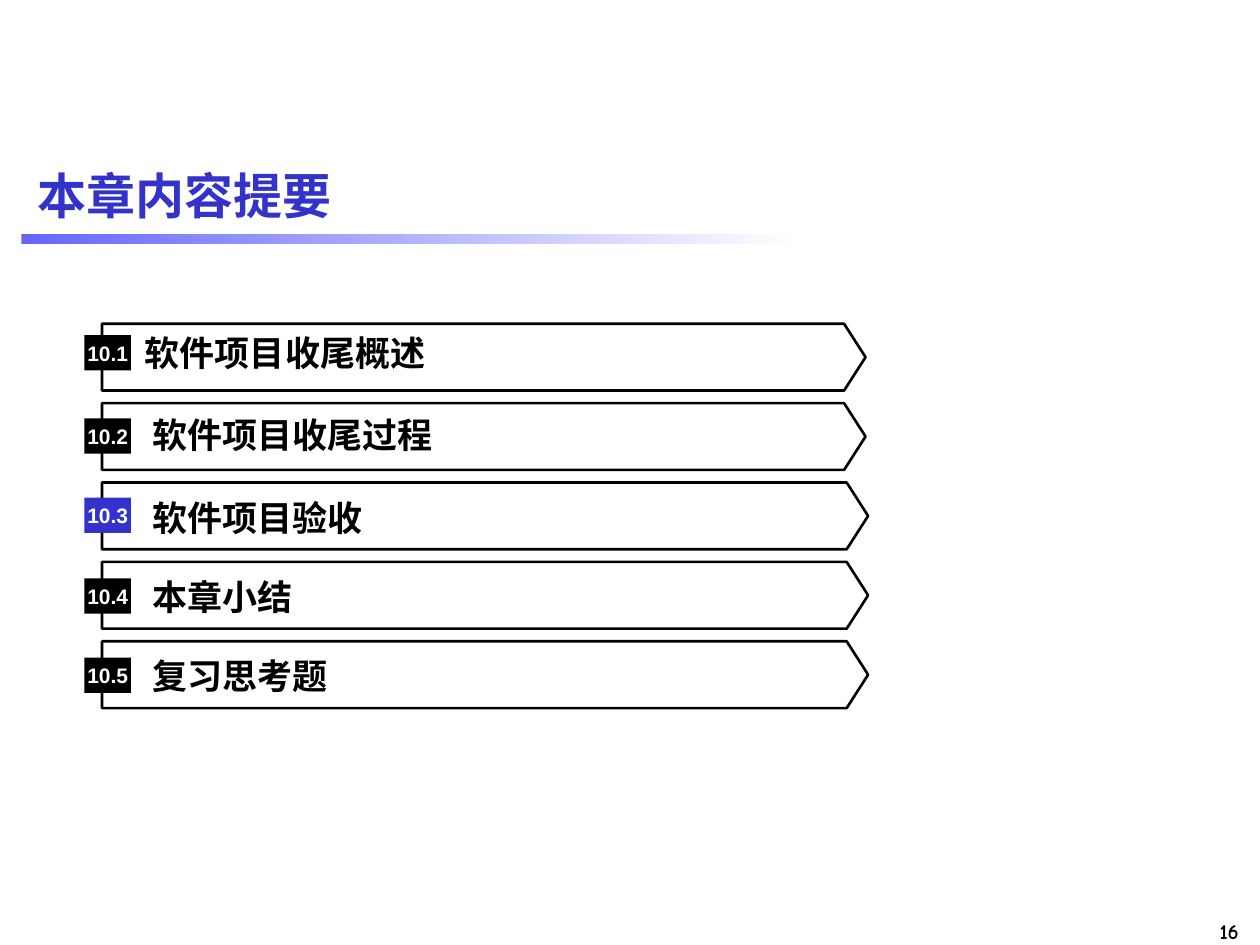
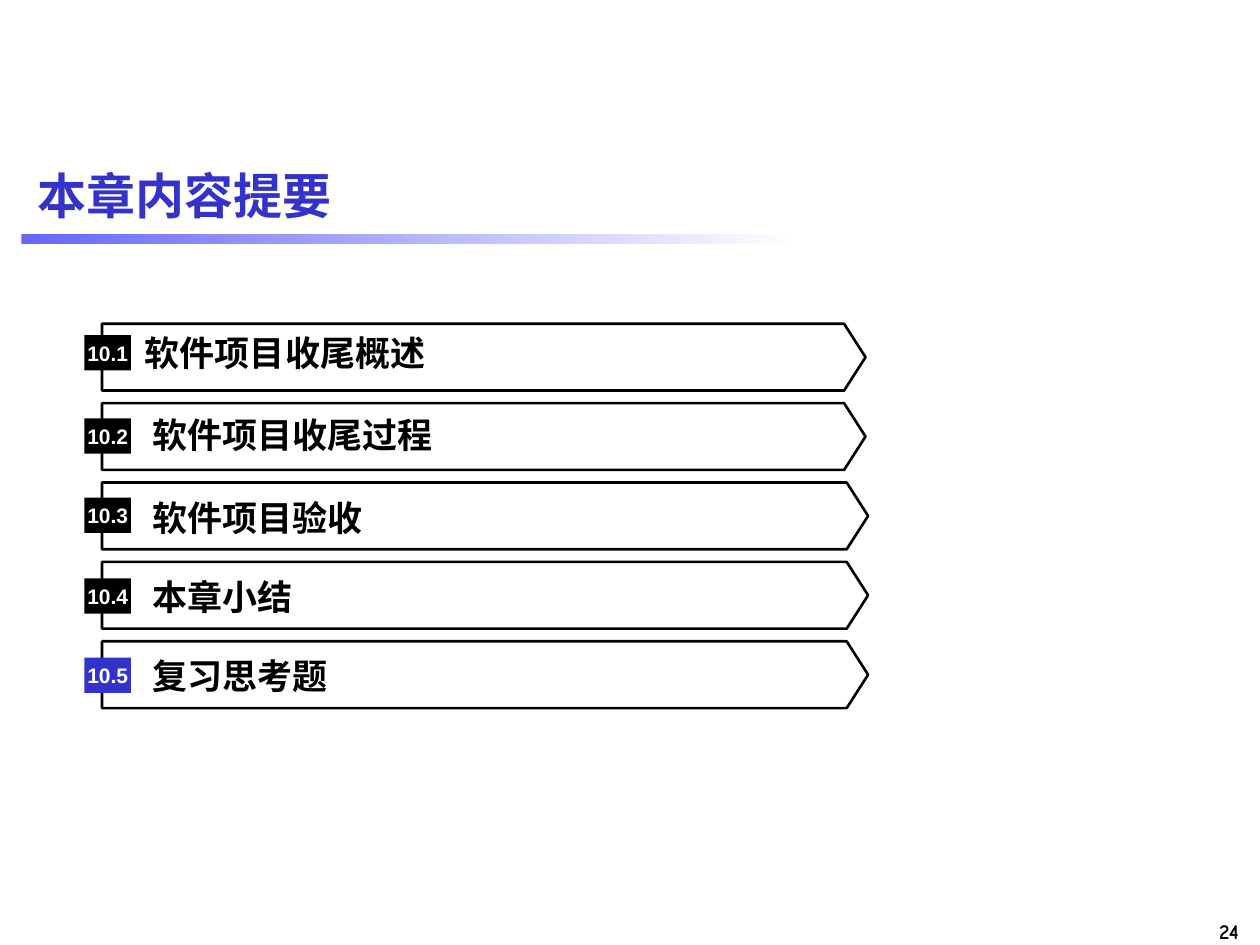
from lxml.etree import SubElement
from pptx import Presentation
from pptx.dml.color import RGBColor
from pptx.enum.shapes import MSO_SHAPE as SHAPE
from pptx.enum.text import MSO_ANCHOR as ANCHOR, MSO_AUTO_SIZE as AUTO, PP_ALIGN as ALIGN
from pptx.oxml.ns import qn
from pptx.util import Inches, Pt

TITLE = "本章内容提要"
SLIDES = [("16", "10.3"), ("24", "10.5")]
SECTIONS = [
    dict(number="10.1", text="软件项目收尾概述", tip=6.87, indent=0.06, label_dy=0.06, badge_dy=0.09),
    dict(number="10.2", text="软件项目收尾过程", tip=6.87, indent=0.12, label_dy=0.08, badge_dy=0.12),
    dict(number="10.3", text="软件项目验收", tip=6.89, indent=0.12, label_dy=0.11, badge_dy=0.12),
    dict(number="10.4", text="本章小结", tip=6.89, indent=0.12, label_dy=0.11, badge_dy=0.13),
    dict(number="10.5", text="复习思考题", tip=6.89, indent=0.12, label_dy=0.11, badge_dy=0.13),
]

BLUE, BLACK, WHITE = "3333CC", "000000", "FFFFFF"
BAR_COLORS = ("6666FF", WHITE)
CJK_FONT = "Noto Sans CJK SC"
ROW_TOP, ROW_PITCH, ROW_HEIGHT = 2.57, 0.63, 0.53
ROW_LEFT, POINT_DEPTH = 0.81, 0.17


def rgb(value):
    return RGBColor.from_string(value)


def box(*lengths):
    return [Inches(v) for v in lengths]


def write(shape, text, size, color, font="Arial", align=ALIGN.LEFT, **frame):
    tf = shape.text_frame
    for name, value in frame.items():
        setattr(tf, name, value)
    p = tf.paragraphs[0]
    p.alignment = align
    r = p.add_run()
    r.text = text
    style = dict(name=font, size=Pt(size), bold=True)
    for name, value in style.items():
        setattr(r.font, name, value)
    r.font.color.rgb = rgb(color)
    SubElement(r.font._element, qn("a:ea")).set("typeface", CJK_FONT)


def margins(left=0):
    return dict(margin_left=Inches(left), margin_right=0, margin_top=0, margin_bottom=0)


def add_rect(shapes, *place):
    s = shapes.add_shape(SHAPE.RECTANGLE, *box(*place))
    s.shadow.inherit = False
    s.line.fill.background()
    return s


def add_frame(slide, page):
    bar = add_rect(slide.shapes, 0.17, 1.86, 6.17, 0.08)
    bar.fill.gradient()
    bar.fill.gradient_angle = 0
    for stop, color in zip(bar.fill.gradient_stops, BAR_COLORS):
        stop.color.rgb = rgb(color)

    title = slide.shapes.title
    title.left, title.top, title.width, title.height = box(0.2, 1.15, 9.61, 0.79)
    write(title, TITLE, 28, BLUE, vertical_anchor=ANCHOR.MIDDLE, auto_size=AUTO.NONE)

    number = slide.shapes.add_textbox(*box(9.01, 7.24, 0.92, 0.3))
    write(number, page, 12, BLACK, font="Comic Neue", align=ALIGN.RIGHT,
          word_wrap=False, auto_size=AUTO.SHAPE_TO_FIT_TEXT)


def add_section(slide, section, top, current):
    shapes = slide.shapes.add_group_shape().shapes
    tip, bottom = section["tip"], top + ROW_HEIGHT
    shoulder = tip - POINT_DEPTH
    corners = [(shoulder, top), (tip, top + ROW_HEIGHT / 2), (shoulder, bottom), (ROW_LEFT, bottom)]
    outline = shapes.build_freeform(*box(ROW_LEFT, top))
    outline.add_line_segments([box(*corner) for corner in corners], close=True)
    arrow = outline.convert_to_shape()
    arrow.shadow.inherit = False
    arrow.fill.background()
    arrow.line.color.rgb = rgb(BLACK)
    arrow.line.width = Pt(1.5)

    label = shapes.add_textbox(*box(1.09, top + section["label_dy"], 5.4, 0.33))
    write(label, section["text"], 20, BLACK, vertical_anchor=ANCHOR.MIDDLE, word_wrap=True,
          auto_size=AUTO.SHAPE_TO_FIT_TEXT, **margins(section["indent"]))

    badge = add_rect(shapes, 0.67, top + section["badge_dy"], 0.37, 0.28)
    badge.fill.solid()
    badge.fill.fore_color.rgb = rgb(BLUE if section["number"] == current else BLACK)
    write(badge, section["number"], 12, WHITE, align=ALIGN.CENTER,
          vertical_anchor=ANCHOR.MIDDLE, **margins())


def main():
    prs = Presentation()
    prs.slide_width, prs.slide_height = box(10, 7.5)
    for page, current in SLIDES:
        slide = prs.slides.add_slide(prs.slide_layouts[5])
        add_frame(slide, page)
        for i, section in enumerate(SECTIONS):
            add_section(slide, section, ROW_TOP + i * ROW_PITCH, current)
    prs.save("out.pptx")


if __name__ == "__main__":
    main()
